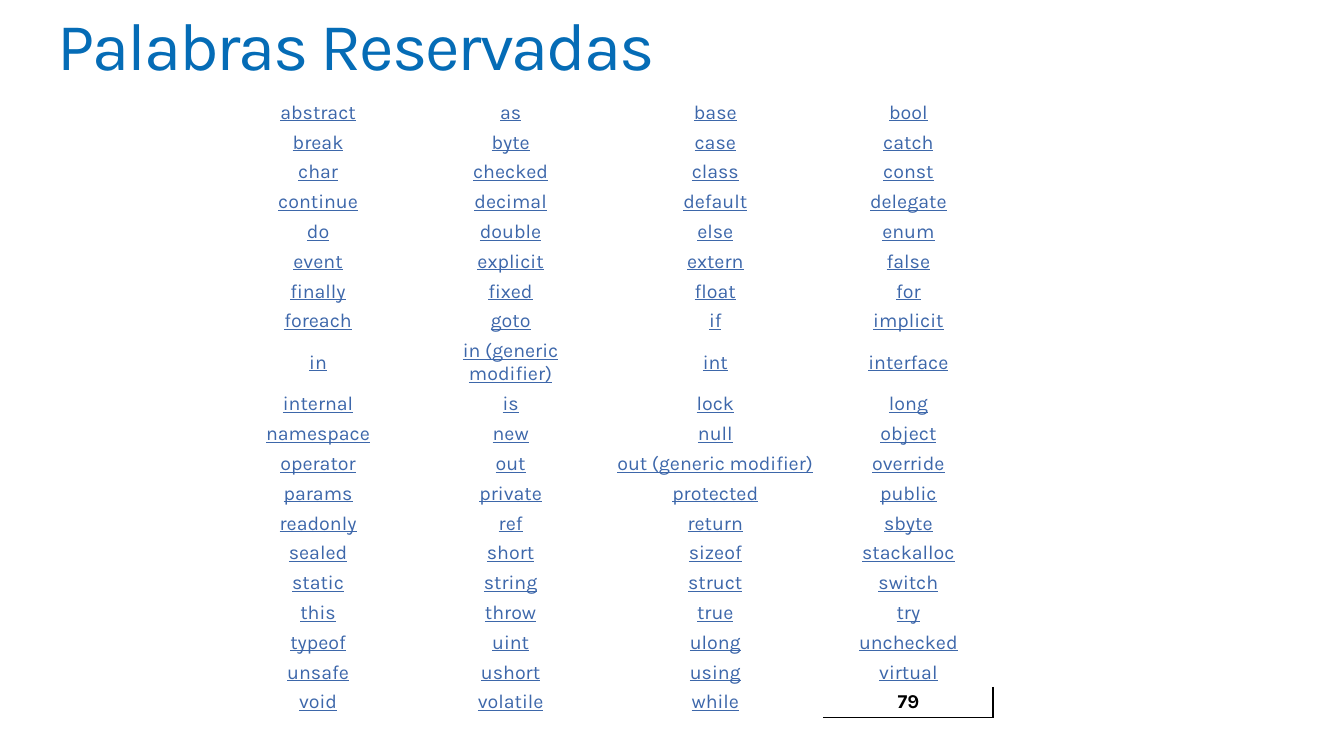
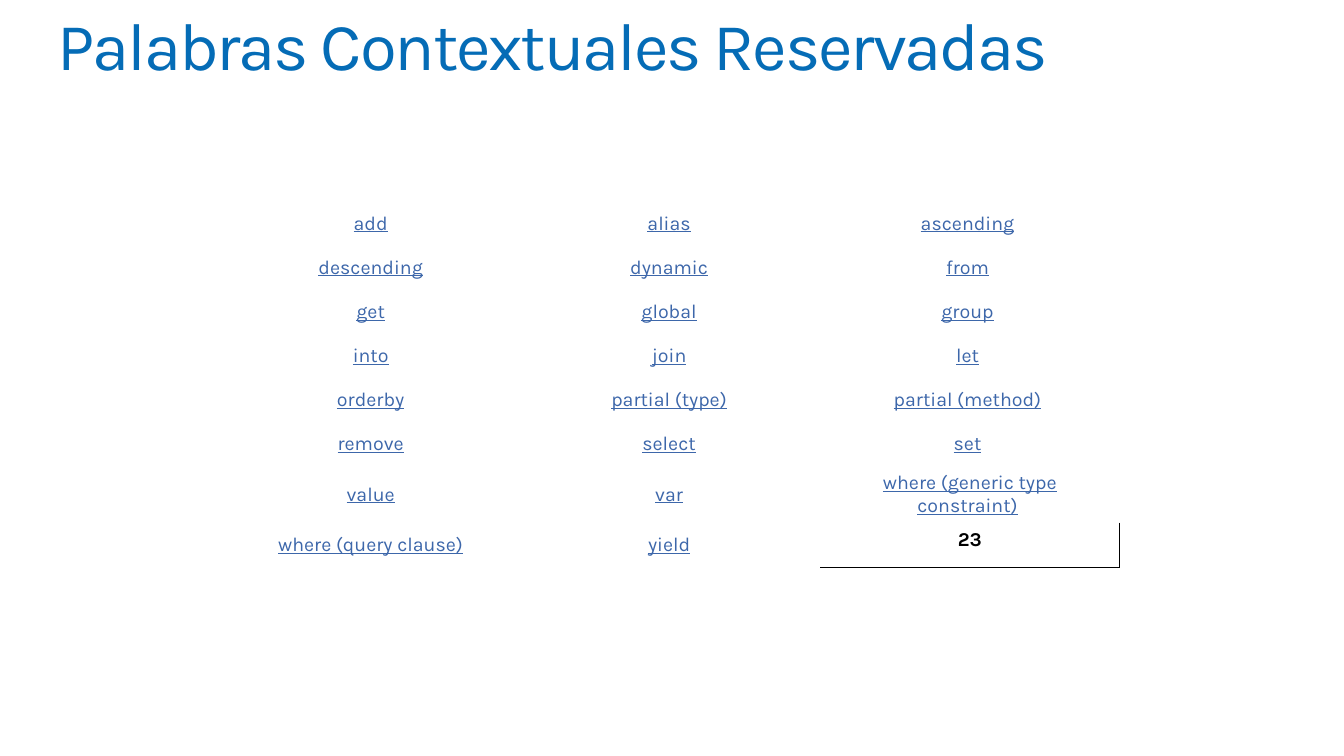
from lxml import etree
from pptx import Presentation
from pptx.dml.color import RGBColor
from pptx.enum import text
from pptx.oxml import ns
from pptx.util import Inches, Pt

FONT = "Karla"
TITLE_COLOR, LINK_COLOR, INK = "056CB6", "3D67AA", "000000"
TITLE_BOX = (0.57, 0.12, 12.22, 0.73)

RESERVED = """abstract, as, base, bool
break, byte, case, catch
char, checked, class, const
continue, decimal, default, delegate
do, double, else, enum
event, explicit, extern, false
finally, fixed, float, for
foreach, goto, if, implicit
in, in (generic modifier), int, interface
internal, is, lock, long
namespace, new, null, object
operator, out, out (generic modifier), override
params, private, protected, public
readonly, ref, return, sbyte
sealed, short, sizeof, stackalloc
static, string, struct, switch
this, throw, true, try
typeof, uint, ulong, unchecked
unsafe, ushort, using, virtual
void, volatile, while, 79"""

CONTEXTUAL = """add, alias, ascending
descending, dynamic, from
get, global, group
into, join, let
orderby, partial (type), partial (method)
remove, select, set
value, var, where (generic type constraint)
where (query clause), yield, 23"""


def color(hex_string):
    return RGBColor.from_string(hex_string)


def write(paragraph, words, size=14, ink=INK, bold=False, underline=False,
          align=text.PP_ALIGN.CENTER, tracking=None):
    paragraph.alignment = align
    run = paragraph.add_run()
    run.text = words
    font = run.font
    font.name, font.size = FONT, Pt(size)
    font.bold, font.underline = bold, underline
    font.color.rgb = color(ink)
    if tracking is not None:
        font._element.set("spc", str(int(tracking * 100)))


def add_title(slide, words, box):
    frame = slide.shapes.add_textbox(*map(Inches, box)).text_frame
    frame.word_wrap = True
    frame.margin_left = frame.margin_right = 0
    frame.margin_top = frame.margin_bottom = 0
    paragraph = frame.paragraphs[0]
    paragraph.line_spacing = 0.9
    write(paragraph, words, size=48, ink=TITLE_COLOR,
          align=text.PP_ALIGN.LEFT, tracking=-1.5)


def add_border(cell, side):
    """Draw a thin line on one side of a cell: lnR or lnB."""
    line = etree.Element(ns.qn("a:" + side), w=str(Pt(1)))
    fill = etree.SubElement(line, ns.qn("a:solidFill"))
    etree.SubElement(fill, ns.qn("a:srgbClr"), val=INK)
    properties = cell._tc.get_or_add_tcPr()
    # Borders come before the fill, which is the last child
    properties.insert(len(properties) - 1, line)


def add_word_table(slide, listing, box, widths, margins, ending=""):
    """Grid of keywords whose last cell holds their total."""
    rows = [line.split(", ") for line in listing.splitlines()]
    table = slide.shapes.add_table(
        len(rows), len(widths), *map(Inches, box)).table
    table.first_row = table.horz_banding = False
    for column, width in zip(table.columns, widths):
        column.width = Inches(width)
    for row in table.rows:
        row.height = Inches(box[3] / len(rows))

    side, edge = map(Inches, margins)
    for row, words in zip(table.rows, rows):
        for cell, word in zip(row.cells, words):
            cell.fill.background()
            cell.margin_left = cell.margin_right = side
            cell.margin_top = cell.margin_bottom = edge
            paragraph = cell.text_frame.paragraphs[0]
            if word.isdigit():
                write(paragraph, word, bold=True)
                add_border(cell, "lnR")
                add_border(cell, "lnB")
                continue
            cell.vertical_anchor = text.MSO_ANCHOR.MIDDLE
            write(paragraph, word, ink=LINK_COLOR, underline=True)
            if ending:
                write(paragraph, ending)


def add_word_slide(presentation, title, **table):
    slide = presentation.slides.add_slide(presentation.slide_layouts[6])
    add_title(slide, title, TITLE_BOX)
    add_word_table(slide, **table)


def main():
    presentation = Presentation()
    presentation.slide_width = Inches(13.33)
    presentation.slide_height = Inches(7.5)

    add_word_slide(presentation, "Palabras Reservadas", listing=RESERVED,
                   box=(2.2, 0.97, 7.65, 5.92),
                   widths=(1.91, 1.91, 2.15, 1.68), margins=(0.07, 0.03))
    add_word_slide(presentation, "Palabras Contextuales Reservadas",
                   listing=CONTEXTUAL, box=(2.22, 2, 8.88, 3.5),
                   widths=(2.96,) * 3, margins=(0.1, 0.05), ending=" ")

    presentation.save("out.pptx")


if __name__ == "__main__":
    main()
